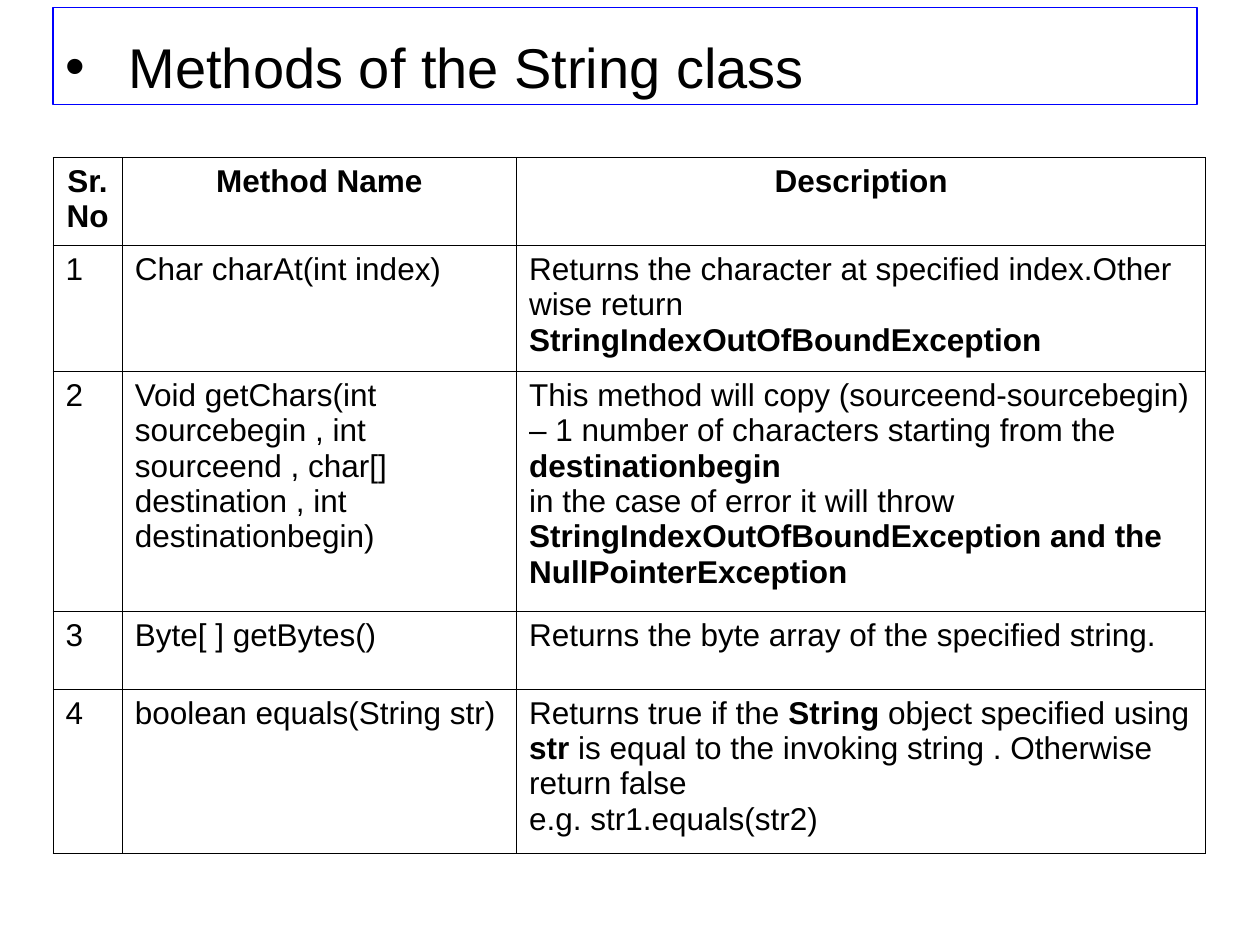
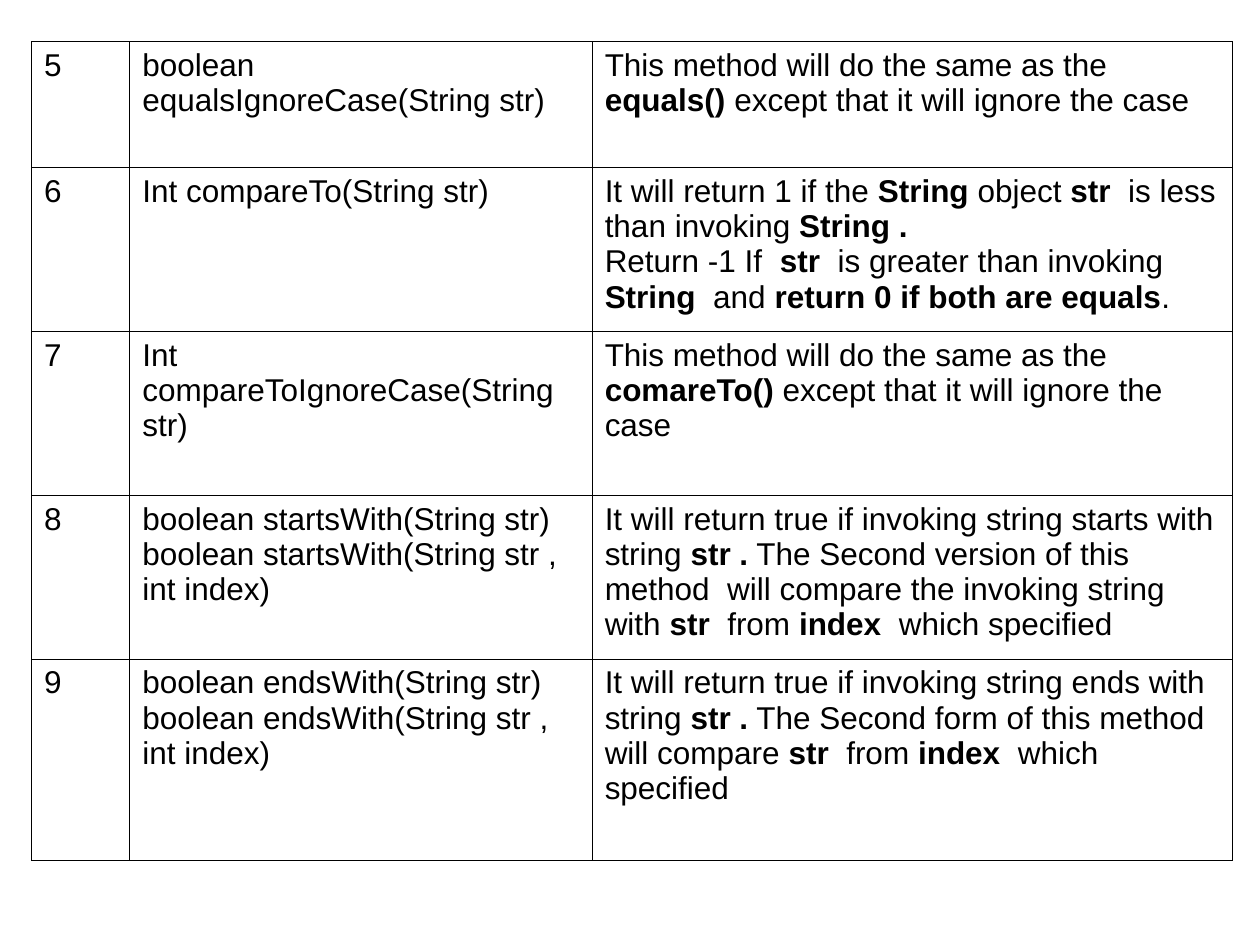
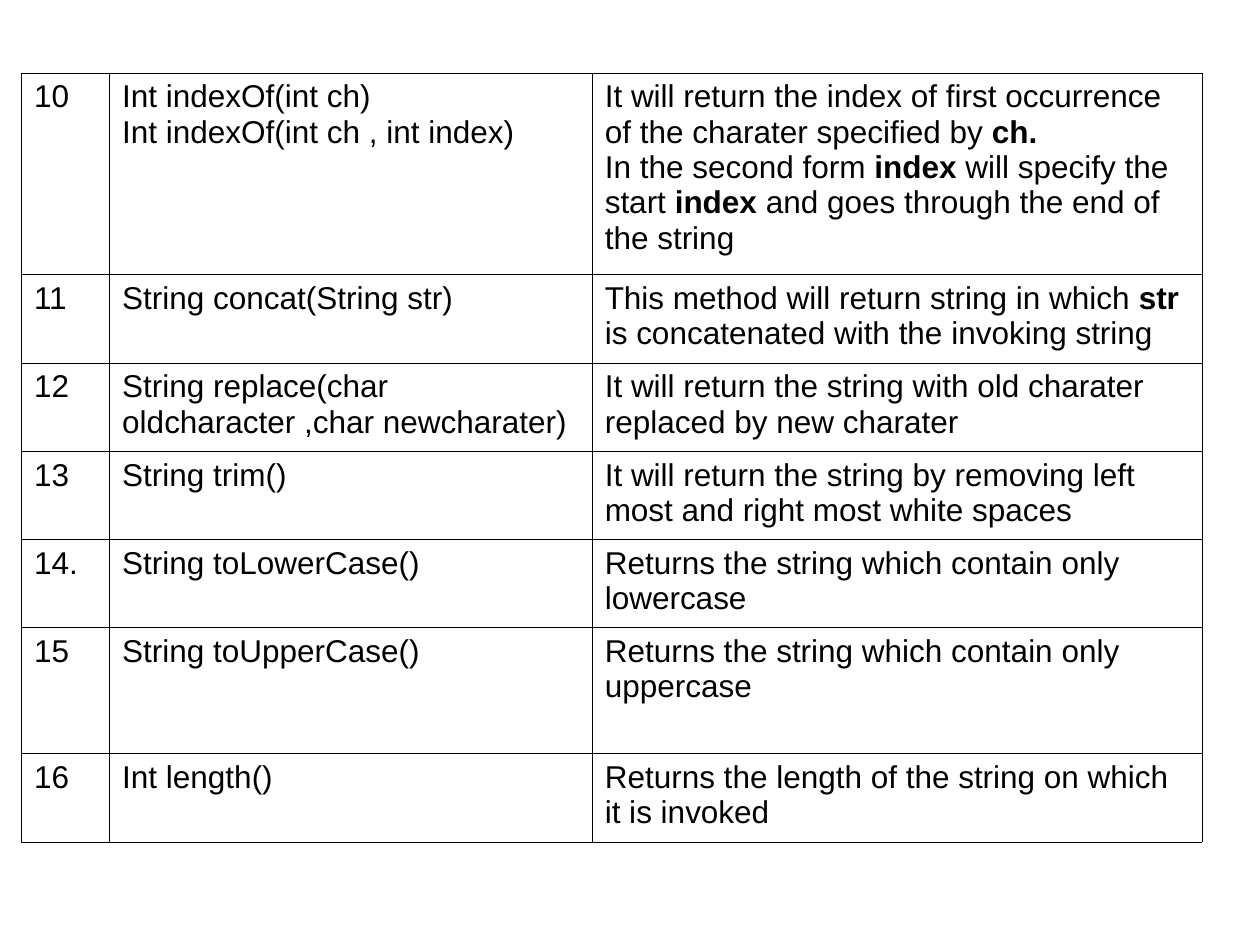
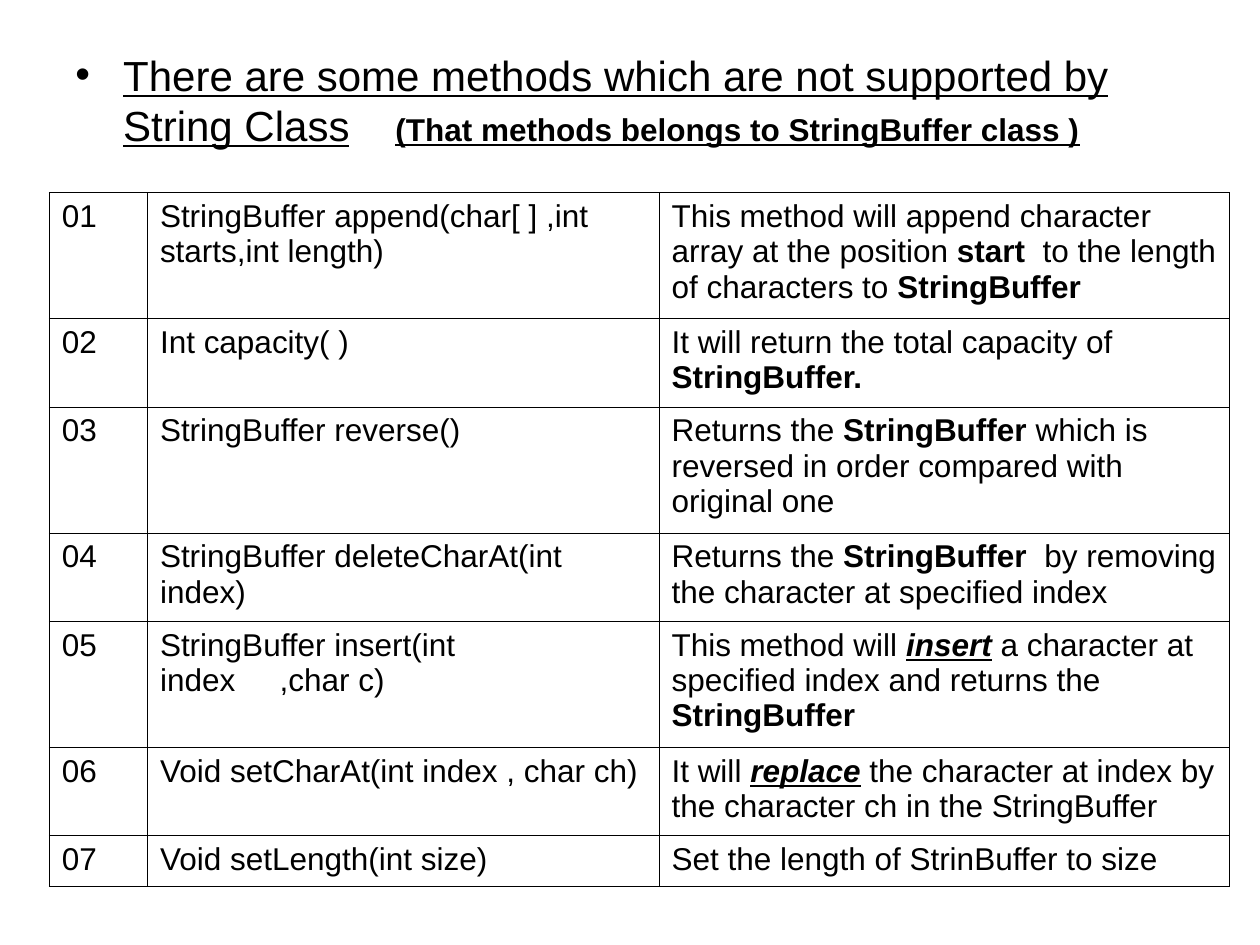
from lxml.etree import SubElement
from pptx import Presentation
from pptx.dml.color import RGBColor
from pptx.enum.shapes import MSO_SHAPE
from pptx.enum.text import PP_ALIGN
from pptx.oxml.ns import qn
from pptx.util import Inches, Pt

BLACK = RGBColor(0x00, 0x00, 0x00)
BLUE = RGBColor(0x00, 0x00, 0xFF)
FONT = "Arial"
BODY_SIZE = 18
HANGING_INDENT = 0.38
BORDER_WIDTH = 0.45

# In cell text, *...* is bold and _..._ is bold, italic and underlined.
# Each line of a cell is one paragraph.
STRING_HEADER = ("Sr.No", "Method Name", "Description")
STRING_BASICS = [
    ("1", "Char charAt(int index)",
     "Returns the character at specified index.Other wise return "
     "*StringIndexOutOfBoundException*"),
    ("2", "Void getChars(int sourcebegin , int sourceend , char[] destination , "
     "int destinationbegin)",
     "This method will copy (sourceend-sourcebegin) – 1 number of characters "
     "starting from the *destinationbegin*\n"
     "in the case of error it will throw "
     "*StringIndexOutOfBoundException and the NullPointerException*"),
    ("3", "Byte[ ] getBytes()", "Returns the byte array of the specified string."),
    ("4", "boolean equals(String str)",
     "Returns true if the *String* object specified using *str* is equal to the "
     "invoking string . Otherwise return false\n"
     "e.g. str1.equals(str2)"),
]
STRING_COMPARISONS = [
    ("5", "boolean  equalsIgnoreCase(String str)",
     "This method will do the same as the *equals() *except that it will ignore the case"),
    ("6", "Int compareTo(String str)",
     "It will return 1 if the *String* object *str * is less than invoking *String .*\n"
     "Return -1 If  *str * is greater than invoking *String*  and "
     "*return 0 if both are equals*."),
    ("7", "Int compareToIgnoreCase(String str)",
     "This method will do the same as the *comareTo() *except that it will ignore the case"),
    ("8", "boolean startsWith(String str)\nboolean startsWith(String str , int index)",
     "It will return true if invoking string starts with string* str .* The Second "
     "version of this method  will compare the invoking string with *str*  from "
     "*index * which specified"),
    ("9", "boolean endsWith(String str)\nboolean endsWith(String str , int index)",
     "It will return true if invoking string ends with string* str .* The Second "
     "form of this method  will compare *str*  from *index * which specified"),
]
STRING_OPERATIONS = [
    ("10", "Int indexOf(int ch)\nInt indexOf(int ch , int index)",
     "It will return the index of first occurrence of the charater specified by *ch.*\n"
     "In the second form *index* will specify the start *index *and goes through "
     "the end of the string"),
    ("11", "String concat(String str)",
     "This method will return string in which *str* is concatenated with the "
     "invoking string"),
    ("12", "String replace(char oldcharacter ,char newcharater)",
     "It will return the string with old charater replaced by new charater"),
    ("13", "String trim()",
     "It will return the string by removing left most and right most white spaces"),
    ("14.", "String toLowerCase()", "Returns the string which contain only lowercase"),
    ("15", "String toUpperCase()", "Returns the string which contain only uppercase"),
    ("16", "Int length()", "Returns the length of the string on which it is invoked"),
]
BUFFER_METHODS = [
    ("01", "StringBuffer append(char[ ] ,int starts,int length)",
     "This method will append character array at the position *start * to the "
     "length of characters to *StringBuffer*"),
    ("02", "Int capacity( )",
     "It will return the total capacity of *StringBuffer.*"),
    ("03", "StringBuffer reverse()",
     "Returns the *StringBuffer *which is reversed in order compared with original one"),
    ("04", "StringBuffer deleteCharAt(int index)",
     "Returns the *StringBuffer * by removing the character at specified index"),
    ("05", "StringBuffer insert(int\nindex\t,char c)",
     "This method will _insert_ a character at  specified index and returns the "
     "*StringBuffer*"),
    ("06", "Void setCharAt(int index , char ch)",
     "It will _replace_ the character at index by the character ch in the StringBuffer"),
    ("07", "Void setLength(int size)", "Set the length of StrinBuffer to size"),
]

# Title: box in inches, tab stop, runs as (text, size, bold, underline).
SLIDES = [
    {"title": {"box": (0.42, 0.17, 9, 1), "tab": None,
               "runs": [(" Methods of the String class", 32, False, False)]},
     "frame": (0.42, 0.06, 9.08, 0.77),
     "corner": (0.42, 1.25), "columns": (0.55, 3.13, 5.47),
     "heights": (0.7, 1, 1.9, 0.62, 1.3),
     "header": STRING_HEADER, "rows": STRING_BASICS},
    {"corner": (0.25, 0.33), "columns": (0.78, 3.67, 5.08),
     "heights": (1, 1.3, 1.3, 1.3, 1.6), "rows": STRING_COMPARISONS},
    {"corner": (0.17, 0.58), "columns": (0.7, 3.83, 4.84),
     "heights": (1.6, 0.7, 0.7, 0.7, 0.7, 1, 0.7), "rows": STRING_OPERATIONS},
    {"title": {"box": (0.5, 0.3, 9, 0.95), "tab": 2.54,
               "runs": [("There are some methods which are not supported by "
                         "String Class\t", 24, False, True),
                        ("(That methods belongs to StringBuffer class )",
                         BODY_SIZE, True, True)]},
     "corner": (0.39, 1.53), "columns": (0.78, 4.06, 4.53),
     "heights": (1, 0.7, 1, 0.7, 1, 0.7, 0.4), "rows": BUFFER_METHODS},
]
CELL_TAB = 0.95


def add_run(paragraph, text, size=BODY_SIZE, bold=False, underline=False, italic=False):
    run = paragraph.add_run()
    run.text = text
    font = run.font
    font.name, font.size = FONT, Pt(size)
    font.bold, font.italic, font.underline = bold, italic, underline
    font.color.rgb = BLACK


def add_tab_stop(paragraph, position):
    tabs = SubElement(paragraph._p.get_or_add_pPr(), qn("a:tabLst"))
    SubElement(tabs, qn("a:tab"), pos=str(Inches(position)), algn="l")


def add_marked_runs(paragraph, text):
    """Turn the * and _ marks of a line into styled runs."""
    for bold_index, part in enumerate(text.split("*")):
        for accent_index, piece in enumerate(part.split("_")):
            accent = accent_index % 2 == 1
            if piece:
                add_run(paragraph, piece, bold=accent or bold_index % 2 == 1,
                        underline=accent, italic=accent)


def add_title(slide, box, tab, runs):
    frame = slide.shapes.add_textbox(*map(Inches, box)).text_frame
    frame.word_wrap = True
    frame.margin_top = Inches(0.09)
    paragraph = frame.paragraphs[0]
    properties = paragraph._p.get_or_add_pPr()
    properties.set("marL", str(Inches(HANGING_INDENT)))
    properties.set("indent", str(-Inches(HANGING_INDENT)))
    color = SubElement(properties, qn("a:buClr"))
    SubElement(color, qn("a:srgbClr"), val=str(BLACK))
    SubElement(properties, qn("a:buFont"), typeface=FONT)
    SubElement(properties, qn("a:buChar"), char="•")
    if tab:
        add_tab_stop(paragraph, tab)
    for run in runs:
        add_run(paragraph, *run)


def add_title_frame(slide, box):
    shape = slide.shapes.add_shape(MSO_SHAPE.RECTANGLE, *map(Inches, box))
    shape.shadow.inherit = False
    shape.fill.background()
    shape.line.color.rgb = BLUE
    shape.line.width = Pt(0.75)


def style_cell(cell):
    properties = cell._tc.get_or_add_tcPr()
    for side in ("lnL", "lnR", "lnT", "lnB"):
        line = SubElement(properties, qn(f"a:{side}"), w=str(Pt(BORDER_WIDTH)))
        fill = SubElement(line, qn("a:solidFill"))
        SubElement(fill, qn("a:srgbClr"), val=str(BLACK))
    cell.fill.background()


def fill_cell(cell, text, is_header):
    style_cell(cell)
    frame = cell.text_frame
    for index, line in enumerate(text.split("\n")):
        paragraph = frame.add_paragraph() if index else frame.paragraphs[0]
        if "\t" in line:
            add_tab_stop(paragraph, CELL_TAB)
        if is_header:
            paragraph.alignment = PP_ALIGN.CENTER
            add_run(paragraph, line, bold=True)
        else:
            add_marked_runs(paragraph, line)


def add_method_table(slide, corner, columns, heights, rows, header=None):
    all_rows = ([header] if header else []) + rows
    box = (*corner, sum(columns), sum(heights))
    table = slide.shapes.add_table(len(all_rows), len(columns), *map(Inches, box)).table
    table.first_row = table.horz_banding = False
    for column, width in zip(table.columns, columns):
        column.width = Inches(width)
    for row, height, texts in zip(table.rows, heights, all_rows):
        row.height = Inches(height)
        for cell, text in zip(row.cells, texts):
            fill_cell(cell, text, texts is header)


def main():
    presentation = Presentation()
    presentation.slide_width, presentation.slide_height = Inches(10), Inches(7.5)
    blank = presentation.slide_layouts[6]
    for content in SLIDES:
        slide = presentation.slides.add_slide(blank)
        if "title" in content:
            add_title(slide, **content["title"])
        add_method_table(slide, content["corner"], content["columns"],
                         content["heights"], content["rows"], content.get("header"))
        if "frame" in content:
            add_title_frame(slide, content["frame"])
    presentation.save("out.pptx")


if __name__ == "__main__":
    main()
